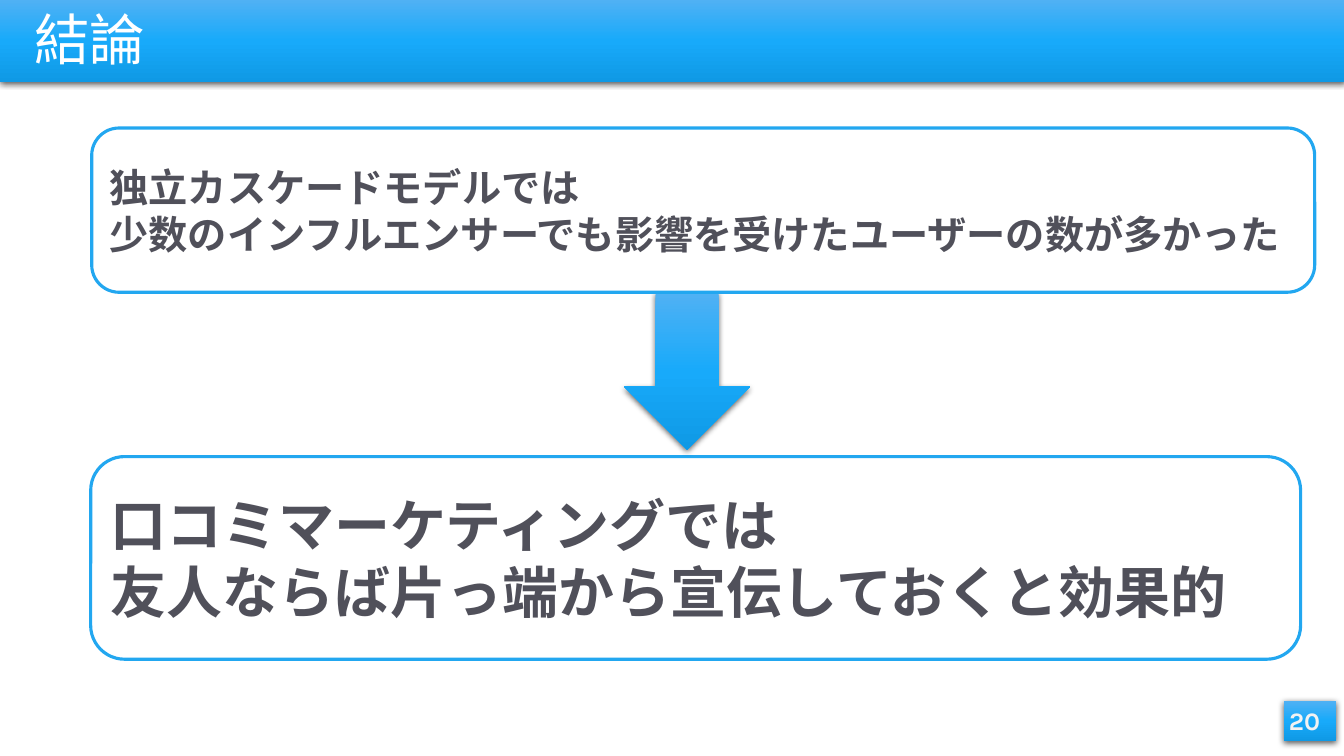
import pptx
import pptx.util
import pptx.dml.color
import pptx.enum.shapes
import pptx.enum.text
import pptx.oxml
import pptx.oxml.ns
from dataclasses import dataclass

TITLE = "結論"
PAGE = "20"
FINDING = ["独立カスケードモデルでは",
           "少数のインフルエンサーでも影響を受けたユーザーの数が多かった"]
ADVICE = ["口コミマーケティングでは",
          "友人ならば片っ端から宣伝しておくと効果的"]


@dataclass(frozen=True)
class Theme:
    font: str = "Karla"
    white: str = "FFFFFF"
    page_text: str = "F2F2F2"
    text: str = "50505A"
    line: str = "22A7F0"
    gradient: tuple = ("50B1F4", "18AAFA", "0F99E5")
    title_size: float = 39.6
    finding_size: float = 28
    advice_size: float = 40
    page_size: float = 18
    line_width: float = 2.25


THEME = Theme()
WIDTH, HEIGHT = 13.33, 7.5
BAR_HEIGHT = 0.81
BADGE = (12.73, 6.95, 0.52, 0.4)
PAGE_SHIFT = 0.06
FINDING_BOX = (0.91, 1.27, 12.13, 1.63)
ADVICE_BOX = (0.9, 4.53, 12, 2.01)
ARROW_WIDTH, ARROW_HEIGHT = 1.25, 1.56
ARROW = (6.19, FINDING_BOX[1] + FINDING_BOX[3], ARROW_WIDTH, ARROW_HEIGHT)
SHAPES = pptx.enum.shapes.MSO_SHAPE
ALIGN = pptx.enum.text.PP_ALIGN


def rgb(value):
    return pptx.dml.color.RGBColor.from_string(value)


def inches(box):
    return [pptx.util.Inches(v) for v in box]


def write(sp, lines, size, color, bold=True, align=ALIGN.LEFT):
    tf = sp.text_frame
    tf.word_wrap = True
    tf.auto_size = pptx.enum.text.MSO_AUTO_SIZE.NONE
    tf.vertical_anchor = pptx.enum.text.MSO_ANCHOR.MIDDLE
    tf.text = "\n".join(lines)
    for p in tf.paragraphs:
        p.alignment = align
        p.font.name = THEME.font
        p.font.size = pptx.util.Pt(size)
        p.font.bold = bold
        p.font.color.rgb = rgb(color)


def add_glossy(s, kind, box):
    """Add a shape with the vertical blue gradient and a soft shadow below."""
    sp = s.shapes.add_shape(kind, *inches(box))
    sp.line.fill.background()
    last = len(THEME.gradient) - 1
    stops = "".join(
        f'<a:gs pos="{100000 * i // last}"><a:srgbClr val="{c}"/></a:gs>'
        for i, c in enumerate(THEME.gradient))
    ns = pptx.oxml.ns.nsdecls("a")
    gradient = pptx.oxml.parse_xml(
        f'<a:gradFill {ns} rotWithShape="1"><a:gsLst>{stops}</a:gsLst>'
        '<a:lin ang="5400000" scaled="0"/></a:gradFill>')
    shadow = pptx.oxml.parse_xml(
        f'<a:effectLst {ns}><a:outerShdw blurRad="{pptx.util.Pt(4.5)}" '
        f'dist="{pptx.util.Pt(1.5)}" dir="5400000" rotWithShape="0">'
        '<a:srgbClr val="000000"><a:alpha val="63000"/></a:srgbClr>'
        '</a:outerShdw></a:effectLst>')
    props = sp.element.spPr
    props.find(pptx.oxml.ns.qn("a:prstGeom")).addnext(gradient)
    props.append(shadow)
    return sp


def add_statement(s, box, lines, size):
    sp = s.shapes.add_shape(SHAPES.ROUNDED_RECTANGLE, *inches(box))
    sp.shadow.inherit = False
    sp.fill.solid()
    sp.fill.fore_color.rgb = rgb(THEME.white)
    sp.line.color.rgb = rgb(THEME.line)
    sp.line.width = pptx.util.Pt(THEME.line_width)
    write(sp, lines, size, THEME.text)


def main():
    prs = pptx.Presentation()
    prs.slide_width, prs.slide_height = inches((WIDTH, HEIGHT))
    s = prs.slides.add_slide(prs.slide_layouts.get_by_name("Title Only"))

    bar = add_glossy(s, SHAPES.RECTANGLE, (0, 0, WIDTH, BAR_HEIGHT))
    title = s.shapes.title
    title.left, title.top, title.width, title.height = inches((0.24, 0.06, 11.33, 0.73))
    write(title, [TITLE], THEME.title_size, THEME.white, bold=False)
    title.text_frame.paragraphs[0].line_spacing = 0.9
    bar.element.addnext(title.element)  # the title lies on top of the bar

    add_glossy(s, SHAPES.RECTANGLE, BADGE)
    left, *rest = BADGE
    page = s.shapes.add_textbox(*inches((left - PAGE_SHIFT, *rest)))
    write(page, [PAGE], THEME.page_size, THEME.page_text, align=ALIGN.RIGHT)

    add_statement(s, ADVICE_BOX, ADVICE, THEME.advice_size)
    add_glossy(s, SHAPES.DOWN_ARROW, ARROW)
    add_statement(s, FINDING_BOX, FINDING, THEME.finding_size)
    prs.save("out.pptx")


if __name__ == "__main__":
    main()
